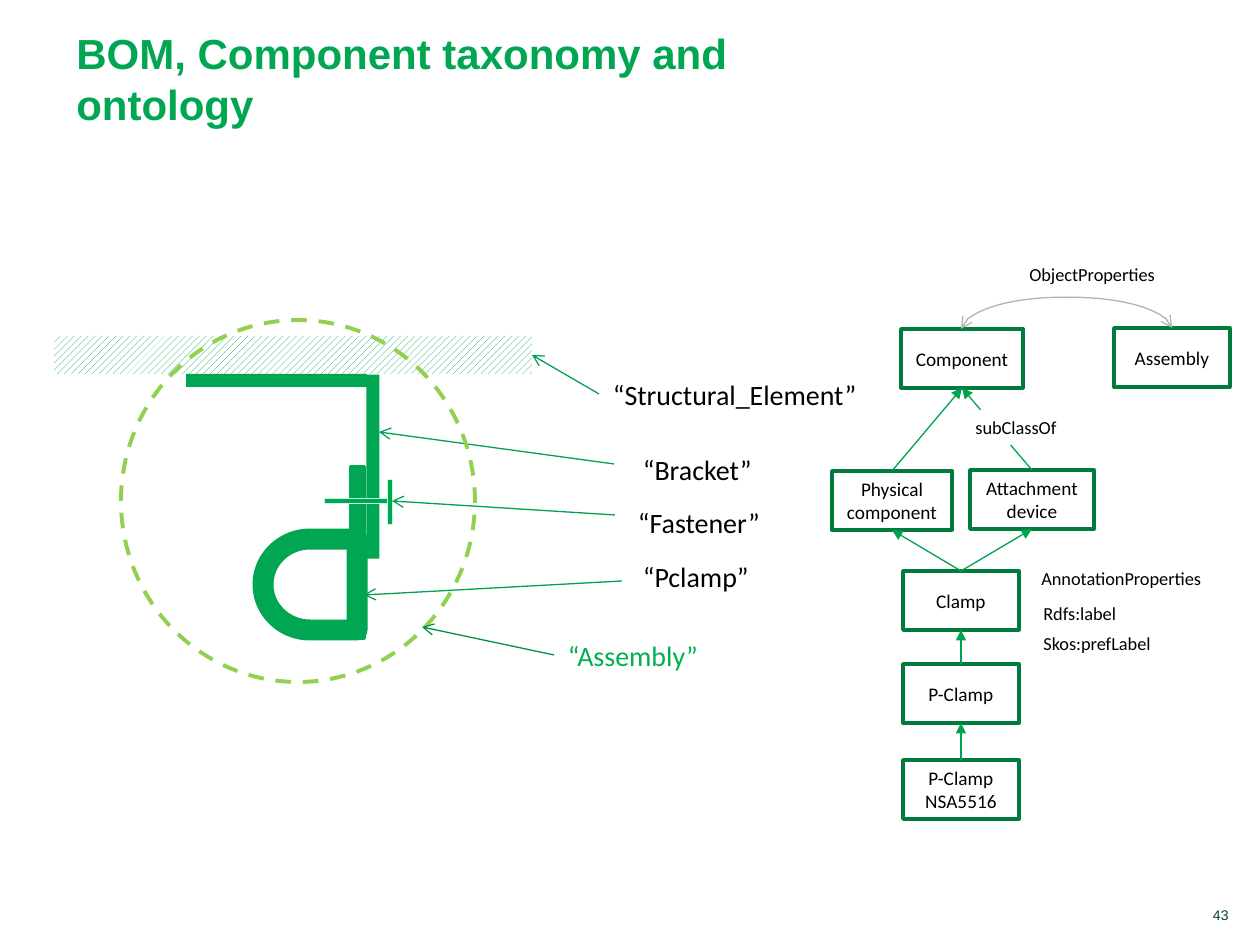
from pptx import Presentation
from pptx import util as u
from pptx.dml.color import RGBColor
from pptx.enum import dml, shapes, text
from pptx.oxml.ns import qn
from lxml import etree

GREEN = RGBColor(0x00, 0xA6, 0x51)
ARROW_GREEN = RGBColor(0x00, 0xA2, 0x4F)
ASSEMBLY_ARROW = RGBColor(0x00, 0x92, 0x42)
ASSEMBLY_TEXT = RGBColor(0x00, 0xB0, 0x50)
BOX_GREEN = RGBColor(0x00, 0x7B, 0x3C)
LIME = RGBColor(0x92, 0xD0, 0x50)
MINT = RGBColor(0xBA, 0xFF, 0xDC)
DARK_GREEN = RGBColor(0x00, 0x46, 0x21)
GRAY = RGBColor(0xB2, 0xB2, 0xB2)
BLACK = RGBColor(0x00, 0x00, 0x00)
WHITE = RGBColor(0xFF, 0xFF, 0xFF)

SHAPE = shapes.MSO_SHAPE
ALIGN = text.PP_ALIGN
ANCHOR = text.MSO_ANCHOR
GROW = text.MSO_AUTO_SIZE.SHAPE_TO_FIT_TEXT
TOP, LEFT, BOTTOM, RIGHT = range(4)


def px(length):
    return u.Emu(round(length * 914400 / 126))


def apply(target, values):
    for name, value in values.items():
        setattr(target, name, value)


class Diagram:
    """Draws the elements of one slide in a shared style."""

    def __init__(self, slide):
        self.slide = slide
        self.margins = dict(zip(
            ("margin_left", "margin_top", "margin_right", "margin_bottom"),
            map(px, (14, 8, 14, 8))))

    def label(self, box, words, size, color=BLACK, font="Calibri", bold=False,
              align=ALIGN.LEFT, **frame):
        apply(box.text_frame, {"word_wrap": True, **frame})
        para = box.text_frame.paragraphs[0]
        para.alignment = align
        span = para.add_run()
        span.text = words
        apply(span.font, {"name": font, "size": u.Pt(size), "bold": bold})
        span.font.color.rgb = color

    def textbox(self, at, words, size, **style):
        box = self.slide.shapes.add_textbox(*map(px, at))
        self.label(box, words, size, **style)
        return box

    def shape(self, at, kind=SHAPE.RECTANGLE, fill=None, line=None, width=1, rotation=0):
        shape = self.slide.shapes.add_shape(kind, *map(px, at))
        shape.shadow.inherit = False
        shape.rotation = rotation
        if fill is None:
            shape.fill.background()
        else:
            shape.fill.solid()
            shape.fill.fore_color.rgb = fill
        if line is None:
            shape.line.fill.background()
        else:
            shape.line.color.rgb = line
            shape.line.width = u.Pt(width)
        return shape

    def hatch(self, at):
        shape = self.shape(at)
        shape.fill.patterned()
        shape.fill.pattern = dml.MSO_PATTERN.WIDE_UPWARD_DIAGONAL
        shape.fill.fore_color.rgb = GREEN
        shape.fill.back_color.rgb = WHITE
        return shape

    def class_box(self, at, words):
        box = self.shape(at, line=BOX_GREEN, width=2)
        self.label(box, words, 11, align=ALIGN.CENTER,
                   vertical_anchor=ANCHOR.MIDDLE, **self.margins)
        return box

    def callout(self, at, words, color=BLACK):
        return self.textbox(at, words, 16, color=color, word_wrap=False,
                            auto_size=GROW, **self.margins)

    def note(self, at, words):
        box = self.shape(at, fill=WHITE)
        self.label(box, words, 10.5, word_wrap=False, auto_size=GROW,
                   vertical_anchor=ANCHOR.TOP)

    def connector(self, kind, ends, color, **arrows):
        line = self.slide.shapes.add_connector(kind, *map(px, ends))
        line.line.color.rgb = color
        line.line.width = u.Pt(0.75)
        outline = line._element.spPr.find(qn("a:ln"))
        for end, arrow in arrows.items():
            etree.SubElement(outline, qn(f"a:{end}")).set("type", arrow)
        etree.SubElement(line._element.spPr, qn("a:effectLst"))
        return line

    def arrow(self, ends, color=ARROW_GREEN, head="arrow"):
        return self.connector(shapes.MSO_CONNECTOR.STRAIGHT, ends, color, tailEnd=head)

    def subclass(self, child, parent):
        line = self.arrow((0, 0, 0, 0), head="triangle")
        line.begin_connect(child, TOP)
        line.end_connect(parent, BOTTOM)

    def arc(self, at, bulge):
        left, top, width, height = at
        line = self.connector(shapes.MSO_CONNECTOR.CURVE,
                              (left, top, left + width, top + height), GRAY,
                              headEnd="arrow", tailEnd="arrow")
        properties = line._element.spPr
        apply(properties.find(qn("a:xfrm")), {"rot": 90, "flipH": True, "flipV": True})
        adjustments = properties.find(qn("a:prstGeom")).get_or_add_avLst()
        guide = etree.SubElement(adjustments, qn("a:gd"))
        guide.set("name", "adj1")
        guide.set("fmla", f"val {bulge * 100000 // width}")


def draw_assembly(diagram):
    ceiling = diagram.hatch((54, 336, 478, 38))
    diagram.shape((186, 374, 181, 13), fill=GREEN)
    diagram.shape((281, 460, 184, 13), fill=GREEN, rotation=270)
    diagram.shape((272, 546, 171, 13), fill=GREEN, line=GREEN, width=2, rotation=270)
    diagram.shape((263, 539, 94, 91), SHAPE.FLOWCHART_DELAY, line=GREEN, width=12,
                  rotation=180)
    for at, rotation in (((324, 498, 65, 5), 0), ((367, 499, 45, 5), 270)):
        diagram.shape(at, SHAPE.FLOWCHART_PROCESS, GREEN, MINT, 0.25, rotation)

    structure = diagram.callout((599, 370, 276, 48), "“Structural_Element”")
    for at, words, ends in (
        ((629, 445, 140, 48), "“Bracket”", (614, 464, 379, 432)),
        ((624, 498, 152, 48), "“Fastener”", (615, 515, 392, 501)),
        ((629, 552, 136, 48), "“Pclamp”", (622, 581, 364, 595)),
    ):
        diagram.callout(at, words)
        diagram.arrow(ends)
    pointer = diagram.arrow((599, 394, 532, 355))
    pointer.begin_connect(structure, LEFT)
    pointer.end_connect(ceiling, RIGHT)

    outline = diagram.shape((121, 320, 354, 362), SHAPE.OVAL, line=LIME, width=2.25)
    outline.line.dash_style = dml.MSO_LINE.DASH
    assembly = diagram.callout((554, 631, 160, 48), "“Assembly”", ASSEMBLY_TEXT)
    pointer = diagram.arrow((554, 655, 422, 627), ASSEMBLY_ARROW)
    pointer.begin_connect(assembly, LEFT)


def draw_taxonomy(diagram):
    boxes = {words: diagram.class_box((left, top, width, 59), words)
             for words, left, top, width in (
                 ("Physical component", 832, 471, 120),
                 ("Clamp", 903, 571, 116),
                 ("P-Clamp", 903, 664, 116),
                 ("P-Clamp NSA5516", 903, 760, 116),
                 ("Attachment device", 970, 470, 124),
                 ("Component", 901, 329, 122),
                 ("Assembly", 1114, 328, 116))}
    for child, parent in (
        ("Clamp", "Physical component"),
        ("Clamp", "Attachment device"),
        ("P-Clamp", "Clamp"),
        ("P-Clamp NSA5516", "P-Clamp"),
        ("Attachment device", "Component"),
        ("Physical component", "Component"),
    ):
        diagram.subclass(boxes[child], boxes[parent])
    diagram.arc((1066, 223, 1, 211), 32)
    for words, left, top, width in (
        ("ObjectProperties", 1017, 257, 154),
        ("subClassOf", 963, 410, 108),
        ("Rdfs:label", 1031, 596, 100),
        ("Skos:prefLabel", 1031, 626, 135),
        ("AnnotationProperties", 1029, 561, 188),
    ):
        diagram.note((left, top, width, 35), words)


def main():
    deck = Presentation()
    apply(deck, {"slide_width": px(1260), "slide_height": px(945)})
    diagram = Diagram(deck.slides.add_slide(deck.slide_layouts[6]))
    diagram.textbox((1076, 900, 165, 29), "43", 8, color=DARK_GREEN, font="Arial",
                    align=ALIGN.RIGHT, vertical_anchor=ANCHOR.BOTTOM)
    diagram.textbox((64, 20, 858, 115), "BOM, Component taxonomy and ontology", 24,
                    color=GREEN, font="Arial", bold=True, vertical_anchor=ANCHOR.BOTTOM)
    draw_assembly(diagram)
    draw_taxonomy(diagram)
    deck.save("out.pptx")


if __name__ == "__main__":
    main()
